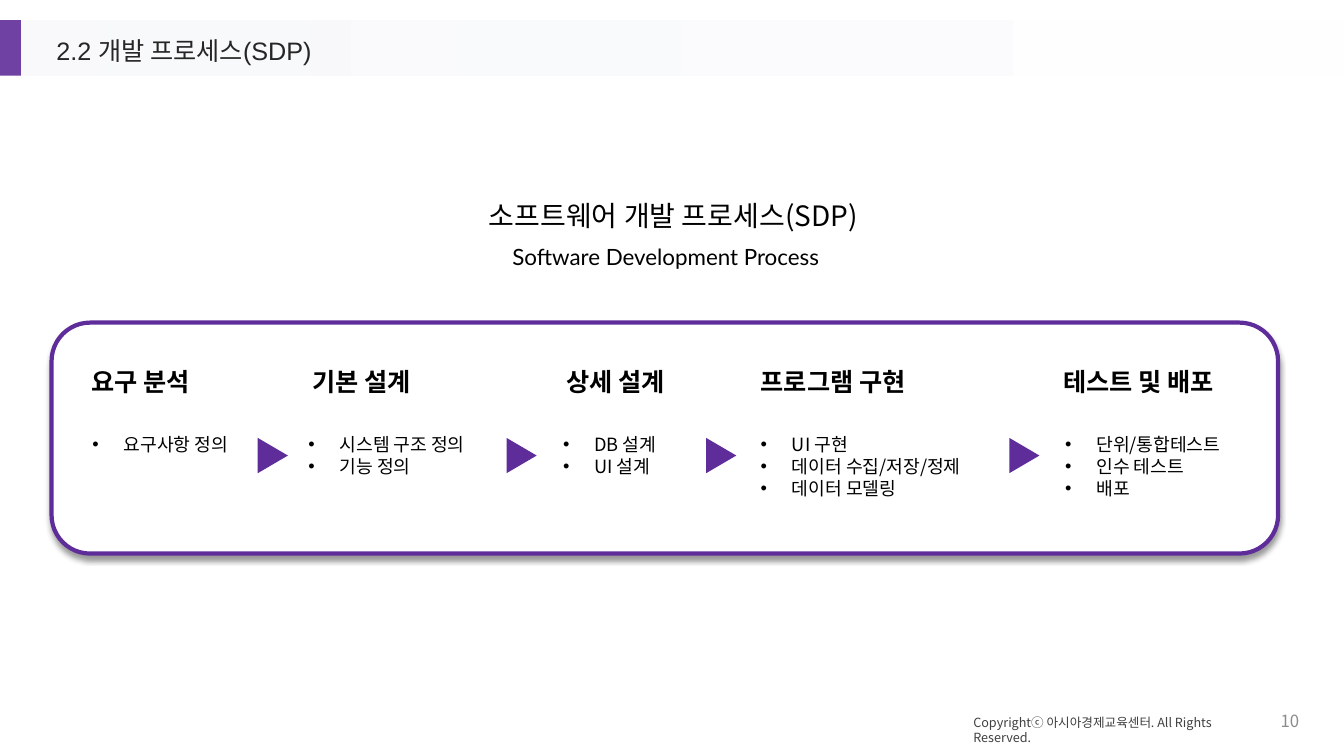
from lxml.etree import SubElement
from pptx import Presentation
from pptx.dml.color import RGBColor
from pptx.enum.shapes import MSO_SHAPE
from pptx.enum.text import MSO_ANCHOR, PP_ALIGN
from pptx.oxml import parse_xml
from pptx.oxml.ns import nsdecls, qn
from pptx.util import Cm, Pt

COLORS = {"purple": "5F2D9A", "accent": "6F41A2", "band": "F6F7FB", "white": "FFFFFF",
          "black": "000000", "title": "262626", "footer": "404040", "number": "8C8C8C"}
KOREAN = "Noto Sans CJK KR"

# Boxes are left, top, width, height in cm
TEXTS = [
    ("2.2 개발 프로세스(SDP)", (1.17, 0.84, 7.7, 0.99),
     dict(size=18, font="Arial", color="title", spacing=0.9)),
    ("소프트웨어 개발 프로세스(SDP)", (11.28, 4.88, 11.38, 1.12),
     dict(size=20, align=PP_ALIGN.CENTER)),
    ("Software Development Process", (11.84, 5.99, 9.88, 0.94),
     dict(size=16, font="Lato", align=PP_ALIGN.CENTER)),
    ("Copyrightⓒ 아시아경제교육센터. All Rights Reserved.", (24.28, 17.88, 7.77, 0.64),
     dict(size=9, color="footer")),
    ("10", (31.42, 17.65, 1.57, 1.02),
     dict(size=12, color="number", align=PP_ALIGN.RIGHT, anchor=MSO_ANCHOR.MIDDLE)),
]
# Heading, its left, tasks, their left and width
STAGES = [
    ("요구 분석", 2.06, ["요구사항 정의"], 2.08, 4.27),
    ("기본 설계", 7.62, ["시스템 구조 정의", "기능 정의"], 7.52, 5),
    ("상세 설계", 14.02, ["DB 설계", "UI 설계"], 13.94, 4.67),
    ("프로그램 구현", 18.92, ["UI 구현", "데이터 수집/저장/정제", "데이터 모델링"], 18.92, 6.05),
    ("테스트 및 배포", 26.54, ["단위/통합테스트", "인수 테스트", "배포"], 26.59, 5),
]
ARROW_LEFTS = [6.43, 12.7, 17.73, 25.37]
HEADING_TOP, TASK_TOP, ARROW_TOP = 9.1, 10.8, 11.1
TASK_LINE, TASK_PADDING, BULLET_INDENT = 0.56, 0.25, 0.79


def rgb(name):
    return RGBColor.from_string(COLORS[name])


def add_text(slide, lines, box, size, font=KOREAN, color="black", bold=False, bullet=False,
             align=PP_ALIGN.LEFT, anchor=MSO_ANCHOR.TOP, spacing=None):
    """Add a text box holding one string or a list with one paragraph per item."""
    tf = slide.shapes.add_textbox(*map(Cm, box)).text_frame
    tf.word_wrap = True
    tf.vertical_anchor = anchor
    tf.text = lines if isinstance(lines, str) else "\n".join(lines)
    for p in tf.paragraphs:
        p.alignment = align
        p.line_spacing = spacing
        if bullet:
            pPr = p._p.get_or_add_pPr()
            pPr.set("marL", str(Cm(BULLET_INDENT)))
            pPr.set("indent", str(-Cm(BULLET_INDENT)))
            SubElement(pPr, qn("a:buFont"), typeface="Arial")
            SubElement(pPr, qn("a:buChar"), char="•")
        for r in p.runs:
            r.font.size, r.font.bold, r.font.name = Pt(size), bold, font
            r.font.color.rgb = rgb(color)
            SubElement(r._r.get_or_add_rPr(), qn("a:ea"), typeface=KOREAN)


def add_shape(slide, kind, box, fill):
    sp = slide.shapes.add_shape(kind, *map(Cm, box))
    sp.shadow.inherit = False
    sp.fill.solid()
    sp.fill.fore_color.rgb = rgb(fill)
    sp.line.fill.background()
    return sp


def add_header(slide):
    band = add_shape(slide, MSO_SHAPE.RECTANGLE, (0.53, 0.51, 33.33, 1.4), "band")
    band.fill.gradient()
    band.fill.gradient_angle = 0
    stops = band.fill.gradient_stops
    for stop, color, position in zip(stops, ("band", "white"), (0, 1)):
        stop.color.rgb = rgb(color)
        stop.position = position
    tint = band._element.spPr.find(".//" + qn("a:srgbClr"))
    SubElement(tint, qn("a:alpha"), val="58000")
    add_shape(slide, MSO_SHAPE.RECTANGLE, (0, 0.51, 0.53, 1.4), "accent")


def add_panel(slide):
    panel = add_shape(slide, MSO_SHAPE.ROUNDED_RECTANGLE, (1.3, 8.13, 30.91, 5.82), "white")
    panel.line.color.rgb = rgb("purple")
    panel.line.width = Pt(3)
    panel._element.spPr.find(qn("a:effectLst")).append(parse_xml(
        f'<a:outerShdw {nsdecls("a")} blurRad="{Pt(4)}" dist="{Pt(3)}" dir="5400000" '
        f'rotWithShape="0"><a:srgbClr val="{COLORS["black"]}"><a:alpha val="40000"/>'
        '</a:srgbClr></a:outerShdw>'))


def main():
    prs = Presentation()
    prs.slide_width, prs.slide_height = Cm(33.87), Cm(19.05)
    slide = prs.slides.add_slide(prs.slide_layouts[6])
    add_header(slide)
    add_panel(slide)
    for text, box, style in TEXTS:
        add_text(slide, text, box, **style)
    for heading, left, tasks, task_left, width in STAGES:
        add_text(slide, heading, (left, HEADING_TOP, 5.59, 1.02), size=18, bold=True)
        height = TASK_PADDING + TASK_LINE * len(tasks)
        add_text(slide, tasks, (task_left, TASK_TOP, width, height), size=13, bullet=True)
    for left in ARROW_LEFTS:
        arrow = add_shape(slide, MSO_SHAPE.ISOSCELES_TRIANGLE,
                          (left, ARROW_TOP, 0.89, 0.76), "purple")
        arrow.rotation = 90
    prs.save("out.pptx")


if __name__ == "__main__":
    main()
